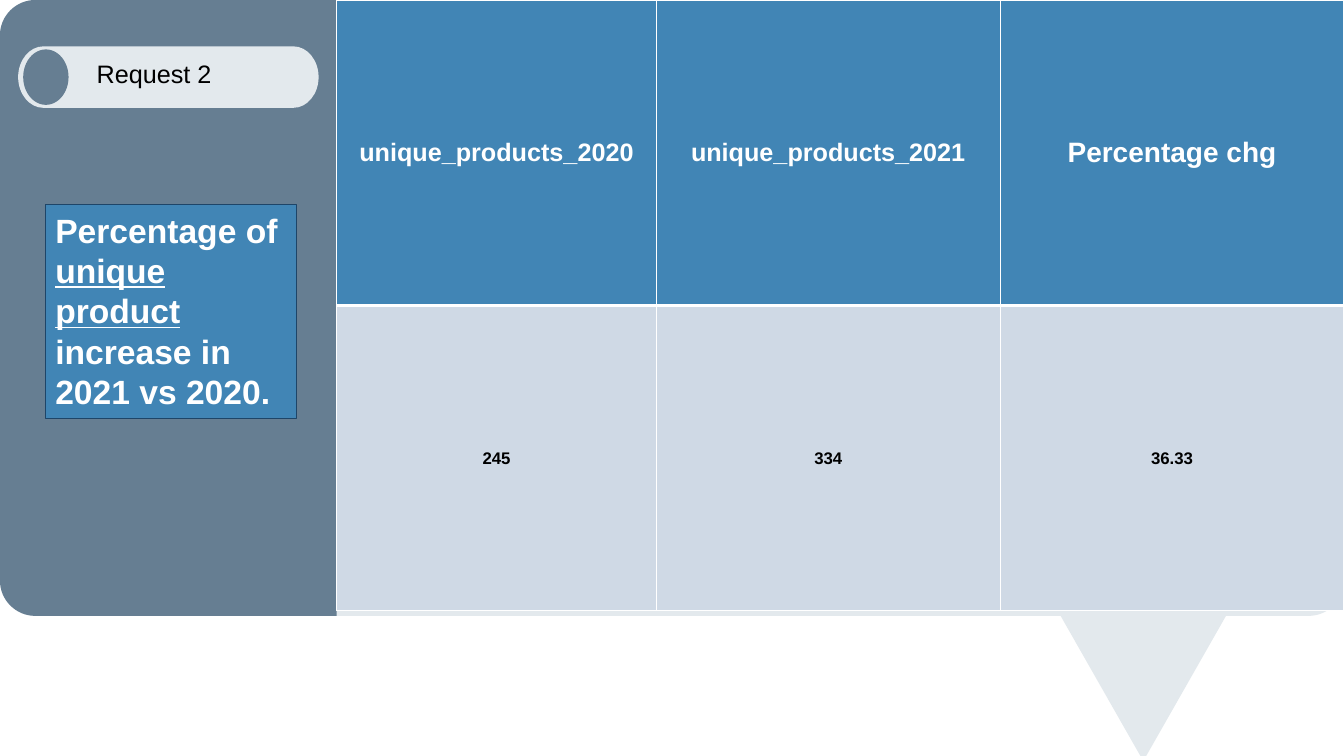
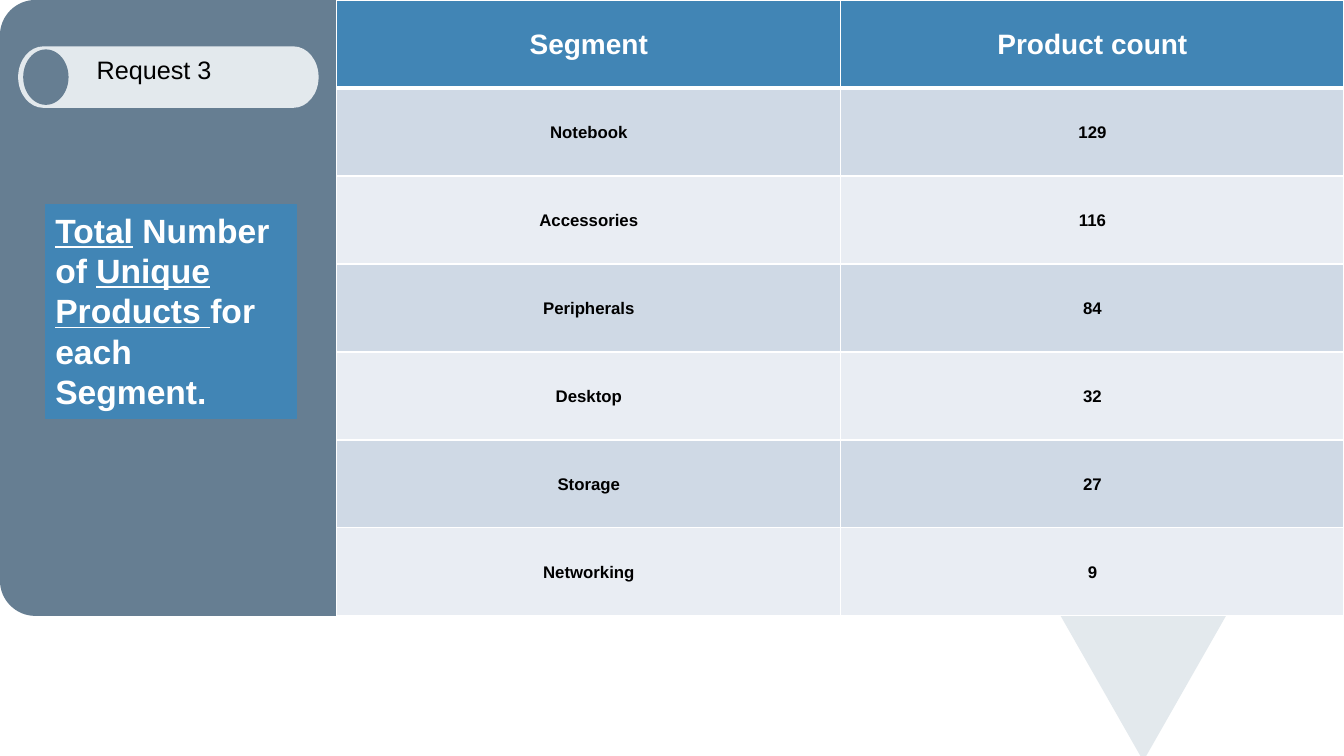
from dataclasses import dataclass

from lxml import etree
from pptx import Presentation
from pptx.dml.color import RGBColor
from pptx.enum.shapes import MSO_SHAPE as Preset
from pptx.enum.text import MSO_ANCHOR as Anchor, MSO_AUTO_SIZE as AutoSize, PP_ALIGN as Align
from pptx.oxml.ns import qn
from pptx.util import Inches, Pt


@dataclass(frozen=True)
class Theme:
    """Colours, type sizes and line widths shared by the slides."""
    font: str = "Arial"
    white: str = "FFFFFF"
    black: str = "000000"
    pale: str = "E3E9ED"
    slate: str = "667E92"
    blue: str = "4185B5"
    navy: str = "1E4568"
    bands: tuple = ("CFD9E5", "E9EDF3")
    question_size: int = 24
    head_size: int = 20
    label_size: int = 18
    body_size: int = 12
    thin: int = 1
    thick: int = 3


THEME = Theme()
PAGE_WIDTH, PAGE_HEIGHT = 13.33, 7.5
CARD_HEIGHT, PANEL_WIDTH = 6.11, 3.34
ROUNDNESS = 0.55


def style_run(span, size, colour, bold=False, underline=False):
    """Apply font, size, colour and emphasis to a run."""
    font = span.font
    font.name, font.size = THEME.font, Pt(size)
    font.bold, font.underline = bold, underline
    font.color.rgb = RGBColor.from_string(colour)


def paint(shape, fill, line=None):
    """Give a shape a flat fill and an optional outline."""
    shape.shadow.inherit = False
    shape.fill.solid()
    shape.fill.fore_color.rgb = RGBColor.from_string(fill)
    if line:
        shape.line.color.rgb = RGBColor.from_string(line)
        shape.line.width = Pt(THEME.thin)
    else:
        shape.line.fill.background()


def corner(start, vertex, end):
    """Return the two control points and end of a rounded corner."""
    controls = [tuple(a + (b - a) * ROUNDNESS for a, b in zip(point, vertex)) for point in (start, end)]
    return [*controls, end]


def rounded_side(edge, inner, first, last, radius):
    """Return the segments of a rounded side running from first to last height."""
    turn = radius if last > first else -radius
    upper, lower = (edge, first + turn), (edge, last - turn)
    straight = [] if abs(lower[1] - upper[1]) < 0.01 else [[lower]]
    return [[(inner, first)], corner((inner, first), (edge, first), upper), *straight,
            corner(lower, (edge, last), (inner, last))]


def add_outline(shapes, segments, fill):
    """Draw a closed outline whose segments hold one point or a curve's three."""
    points = [(Inches(x), Inches(y)) for segment in segments for x, y in segment]
    builder = shapes.build_freeform(*points[0], scale=1.0)
    builder.add_line_segments(points[1:], close=True)
    shape = builder.convert_to_shape()
    steps = iter(list(shape._element.iter(qn("a:lnTo"))))
    for segment in segments[1:]:
        step = next(steps)
        if len(segment) == 3:
            step.tag = qn("a:cubicBezTo")
            for extra in (next(steps), next(steps)):
                step.append(extra[0])
                extra.getparent().remove(extra)
    paint(shape, fill)


def add_card(page, width, height):
    """Draw the speech-bubble card and its slate side panel."""
    shapes = page.shapes.add_group_shape().shapes
    radius, tail_centre, tail_half, tail_drop = 0.35, 11.34, 0.82, 1.44
    left_side = rounded_side(0, radius, height, 0, radius)
    right_side = rounded_side(width, width - radius, 0, height, radius)
    tail = [[(tail_centre + tail_half, height)], [(tail_centre, height + tail_drop)],
            [(tail_centre - tail_half, height)]]
    add_outline(shapes, left_side + right_side + tail, THEME.pale)
    add_outline(shapes, left_side + [[(PANEL_WIDTH, 0)], [(PANEL_WIDTH, height)]], THEME.slate)


def add_request_pill(page, left, top, label, label_drop):
    """Draw the request pill with its dot and label."""
    shapes = page.shapes.add_group_shape().shapes
    right, bottom, radius = left + 2.98, top + 0.61, 0.25
    half = (bottom - top) / 2
    segments = (rounded_side(left, left + radius, bottom, top, half)
                + rounded_side(right, right - radius, top, bottom, half))
    add_outline(shapes, segments, THEME.pale)
    dot = shapes.add_shape(Preset.OVAL, Inches(left + 0.05), Inches(top + 0.03), Inches(0.45), Inches(0.55))
    paint(dot, THEME.slate)
    box = page.shapes.add_textbox(Inches(left + 0.68), Inches(top + label_drop), Inches(1.96), Inches(0.4))
    frame = box.text_frame
    frame.word_wrap = True
    frame.auto_size = AutoSize.SHAPE_TO_FIT_TEXT
    frame.text = label
    style_run(frame.paragraphs[0].runs[0], THEME.label_size, THEME.black)


def add_question(page, left, top, spans, line):
    """Draw the question box from (text, underlined) spans."""
    box = page.shapes.add_shape(Preset.RECTANGLE, Inches(left), Inches(top), Inches(2.49), Inches(2.12))
    paint(box, THEME.blue, line)
    frame = box.text_frame
    frame.word_wrap = True
    frame.auto_size = AutoSize.SHAPE_TO_FIT_TEXT
    frame.vertical_anchor = Anchor.TOP
    para = frame.paragraphs[0]
    para.alignment = Align.LEFT
    for text, underline in spans:
        span = para.add_run()
        span.text = text
        style_run(span, THEME.question_size, THEME.white, True, underline)


def set_borders(cell, top, bottom):
    """Give a cell white borders, thin at the sides."""
    properties = cell._tc.get_or_add_tcPr()
    widths = (("a:lnL", THEME.thin), ("a:lnR", THEME.thin), ("a:lnT", top), ("a:lnB", bottom))
    for place, (tag, width) in enumerate(widths):
        border = etree.Element(qn(tag), w=str(Pt(width)))
        fill = etree.SubElement(border, qn("a:solidFill"))
        etree.SubElement(fill, qn("a:srgbClr"), val=THEME.white)
        properties.insert(place, border)


def fill_cell(cell, text, size, text_colour, fill):
    """Write a centred bold value into a coloured cell."""
    cell.fill.solid()
    cell.fill.fore_color.rgb = RGBColor.from_string(fill)
    cell.vertical_anchor = Anchor.MIDDLE
    cell.margin_left = cell.margin_right = cell.margin_top = Inches(0.01)
    cell.margin_bottom = 0
    cell.text = text
    para = cell.text_frame.paragraphs[0]
    para.alignment = Align.CENTER
    style_run(para.runs[0], size, text_colour, True)


def add_result_table(page, left, top, height, column_widths, head_sizes, rows):
    """Place the result table with a blue header and banded rows."""
    table = page.shapes.add_table(len(rows), len(column_widths), Inches(left), Inches(top),
                                  Inches(sum(column_widths)), Inches(height)).table
    table.horz_banding = False
    for column, width in zip(table.columns, column_widths):
        column.width = Inches(width)
    for row in table.rows:
        row.height = Inches(height / len(rows))
    for r, values in enumerate(rows):
        for c, text in enumerate(values):
            cell = table.cell(r, c)
            if r == 0:
                fill_cell(cell, text, head_sizes[c], THEME.white, THEME.blue)
            else:
                fill_cell(cell, text, THEME.body_size, THEME.black, THEME.bands[(r - 1) % 2])
            set_borders(cell, THEME.thick if r == 1 else THEME.thin,
                        THEME.thick if r == 0 else THEME.thin)


def add_request_page(deck, label, label_drop, question, question_line,
                     table_height, column_widths, head_sizes, rows):
    """Build one request slide: card, pill, question and table."""
    page = deck.slides.add_slide(deck.slide_layouts[6])
    add_card(page, PAGE_WIDTH, CARD_HEIGHT)
    add_result_table(page, PANEL_WIDTH, 0, table_height, column_widths, head_sizes, rows)
    add_request_pill(page, 0.18, 0.46, label, label_drop)
    add_question(page, 0.45, 2.03, question, question_line)


def main():
    """Build and save the deck."""
    deck = Presentation()
    deck.slide_width, deck.slide_height = Inches(PAGE_WIDTH), Inches(PAGE_HEIGHT)
    add_request_page(
        deck, "Request 2", 0.07,
        [("Percentage of ", False), ("unique product ", True), ("increase in 2021 vs 2020.", False)],
        THEME.navy, 6.06, (3.17, 3.41, 3.41),
        (THEME.label_size, THEME.label_size, THEME.head_size),
        [("unique_products_2020", "unique_products_2021", "Percentage chg"),
         ("245", "334", "36.33")])
    add_request_page(
        deck, "Request 3", 0.03,
        [("Total", True), (" Number of ", False), ("Unique Products ", True), ("for each Segment.", False)],
        THEME.blue, CARD_HEIGHT, (5, 4.99), (THEME.head_size, THEME.head_size),
        [("Segment", "Product count"), ("Notebook", "129"), ("Accessories", "116"),
         ("Peripherals", "84"), ("Desktop", "32"), ("Storage", "27"), ("Networking", "9")])
    deck.save("out.pptx")


if __name__ == "__main__":
    main()
